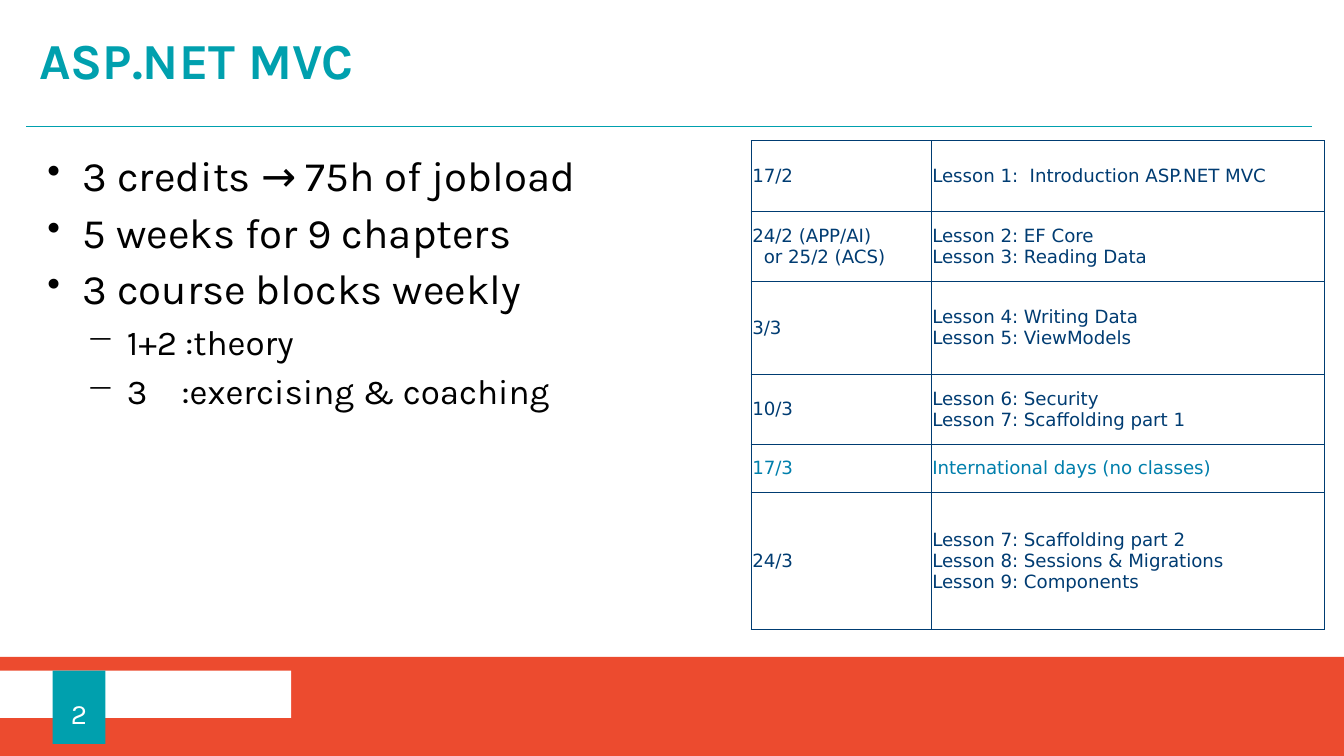
from dataclasses import dataclass

from lxml.etree import SubElement
from pptx import Presentation
from pptx.dml.color import RGBColor
from pptx.enum.shapes import MSO_CONNECTOR, MSO_SHAPE
from pptx.enum.text import MSO_ANCHOR, PP_ALIGN
from pptx.oxml.ns import qn
from pptx.util import Pt


@dataclass(frozen=True)
class Theme:
    teal: str = "00A0AE"
    orange: str = "EC4B2F"
    white: str = "FFFFFF"
    black: str = "000000"
    navy: str = "003C72"
    blue: str = "007FAC"
    font: str = "Karla"
    table_font: str = "DejaVu Sans"
    title_size: int = 36
    body_size: int = 30
    sub_size: int = 25
    number_size: int = 20
    table_size: int = 13


THEME = Theme()
SLIDE_WIDTH, SLIDE_HEIGHT = 960, 540
RULE_Y = 90
TAB_STOPS = (39, 96)  # measured from the indent, and from the box edge

BULLETS = [
    (0, "3 credits → 75h of jobload"),
    (0, "5 weeks for 9 chapters"),
    (0, "3 course blocks weekly"),
    (1, "1+2 :theory"),
    (1, "3\t:exercising & coaching"),
]

# Row height, date lines, lesson lines, text colour
SCHEDULE = [
    (50.4, ["17/2"], ["Lesson 1:\u00a0 Introduction ASP.NET MVC"], THEME.navy),
    (50.4, ["24/2 (APP/AI)", "\u00a0 or 25/2 (ACS)"],
     ["Lesson 2: EF Core", "Lesson 3: Reading Data"], THEME.navy),
    (66, ["3/3"], ["Lesson 4: Writing Data", "Lesson 5: ViewModels"], THEME.navy),
    (50.4, ["10/3"], ["Lesson 6: Security", "Lesson 7: Scaffolding part 1"], THEME.navy),
    (34, ["17/3"], ["International days (no classes)"], THEME.blue),
    (98, ["24/3"], ["Lesson 7: Scaffolding part 2", "Lesson 8: Sessions & Migrations",
                    "Lesson 9: Components"], THEME.navy),
]


def rgb(color):
    return RGBColor.from_string(color)


def add_span(para, text, size, color, font=THEME.font, bold=False):
    span = para.add_run()
    span.text = text
    span.font.size = Pt(size)
    span.font.name = font
    span.font.bold = bold
    span.font.color.rgb = rgb(color)


def set_frame(frame, insets, anchor=MSO_ANCHOR.TOP, wrap=True):
    frame.word_wrap = wrap
    frame.vertical_anchor = anchor
    (frame.margin_left, frame.margin_top,
     frame.margin_right, frame.margin_bottom) = map(Pt, insets)


def add_block(page, left, top, width, height, color):
    block = page.shapes.add_shape(
        MSO_SHAPE.RECTANGLE, Pt(left), Pt(top), Pt(width), Pt(height))
    block.shadow.inherit = False
    block.fill.solid()
    block.fill.fore_color.rgb = rgb(color)
    block.line.fill.background()
    return block


def add_rule(page, left, right, y):
    rule = page.shapes.add_connector(
        MSO_CONNECTOR.STRAIGHT, Pt(left), Pt(y), Pt(right), Pt(y))
    rule.line.color.rgb = rgb(THEME.teal)
    rule.line.width = Pt(0.5)
    SubElement(rule.element.spPr, qn("a:effectLst"))


def add_box(page, top, height, insets, anchor=MSO_ANCHOR.TOP):
    box = page.shapes.add_textbox(0, Pt(top), Pt(SLIDE_WIDTH), Pt(height))
    set_frame(box.text_frame, insets, anchor)
    return box.text_frame


def set_bullet(para, char, margin, hanging, percent):
    props = para._p.get_or_add_pPr()
    props.set("marL", str(Pt(margin)))
    props.set("indent", str(-Pt(hanging)))
    SubElement(props, qn("a:buSzPct"), val=str(percent * 1000))
    SubElement(props, qn("a:buChar"), char=char)
    return props


def add_bullets(page, items):
    frame = add_box(page, 90.7, 348.5, (33.8, 20.2, 33.8, 11.5))
    for index, (level, text) in enumerate(items):
        para = frame.add_paragraph() if index else frame.paragraphs[0]
        para.level = level
        para.line_spacing = 0.9
        para.space_before = para.space_after = Pt(4)
        if level:
            props = set_bullet(para, "−", 56.9, 28.8, 100)
        else:
            props = set_bullet(para, "•", 25.2, 25.2, 90)
        if "\t" in text:
            stops = SubElement(props, qn("a:tabLst"))
            for stop in TAB_STOPS:
                SubElement(stops, qn("a:tab"), pos=str(Pt(stop)), algn="l")
        add_span(para, text, THEME.sub_size if level else THEME.body_size, THEME.black)


def set_borders(cell):
    props = cell._tc.get_or_add_tcPr()
    for index, side in enumerate(("lnL", "lnR", "lnT", "lnB")):
        line = props.makeelement(qn(f"a:{side}"), {"w": str(Pt(1))})
        fill = SubElement(line, qn("a:solidFill"))
        SubElement(fill, qn("a:srgbClr"), val=THEME.navy)
        props.insert(index, line)


def fill_cell(cell, lines, color):
    cell.fill.solid()
    cell.fill.fore_color.rgb = rgb(THEME.white)
    set_borders(cell)
    cell.vertical_anchor = MSO_ANCHOR.MIDDLE
    cell.margin_left = cell.margin_right = Pt(0.75)
    cell.margin_top = cell.margin_bottom = Pt(0.75)
    para = cell.text_frame.paragraphs[0]
    for index, line in enumerate(lines):
        if index:
            para.add_line_break()
        add_span(para, line, THEME.table_size, color, THEME.table_font)


def add_schedule(page, left, top, widths, rows):
    height = sum(row[0] for row in rows)
    table = page.shapes.add_table(
        len(rows), len(widths), Pt(left), Pt(top), Pt(sum(widths)), Pt(height)).table
    table.first_row = table.horz_banding = False
    for column, width in zip(table.columns, widths):
        column.width = Pt(width)
    for row, (row_height, dates, lessons, color) in zip(table.rows, rows):
        row.height = Pt(row_height)
        for cell, lines in zip(row.cells, (dates, lessons)):
            fill_cell(cell, lines, color)


def add_title(page, text):
    frame = add_box(page, 0, RULE_Y, (28, 14.4, 28, 11.5), MSO_ANCHOR.MIDDLE)
    para = frame.paragraphs[0]
    para.line_spacing = 0.8
    add_span(para, text, THEME.title_size, THEME.teal, bold=True)


def add_page_number(page, number):
    block = add_block(page, 37.6, 479, 37.8, 52.4, THEME.teal)
    set_frame(block.text_frame, (0, 8.6, 0, 0), MSO_ANCHOR.MIDDLE, wrap=False)
    para = block.text_frame.paragraphs[0]
    para.alignment = PP_ALIGN.CENTER
    para.space_after = Pt(6)
    add_span(para, number, THEME.number_size, THEME.white)


def main():
    deck = Presentation()
    deck.slide_width, deck.slide_height = Pt(SLIDE_WIDTH), Pt(SLIDE_HEIGHT)
    page = deck.slides.add_slide(deck.slide_layouts[6])

    # Footer band and header rule
    add_block(page, 0, 469.2, SLIDE_WIDTH, SLIDE_HEIGHT - 469.2, THEME.orange)
    add_block(page, 0, 479, 208, 33.8, THEME.white)
    add_rule(page, 18.7, 937.4, RULE_Y)

    # Content
    add_bullets(page, BULLETS)
    add_title(page, "ASP.NET MVC")
    add_page_number(page, "2")
    add_schedule(page, 536.6, 100.5, (128.6, 280.8), SCHEDULE)

    deck.save("out.pptx")


main()
